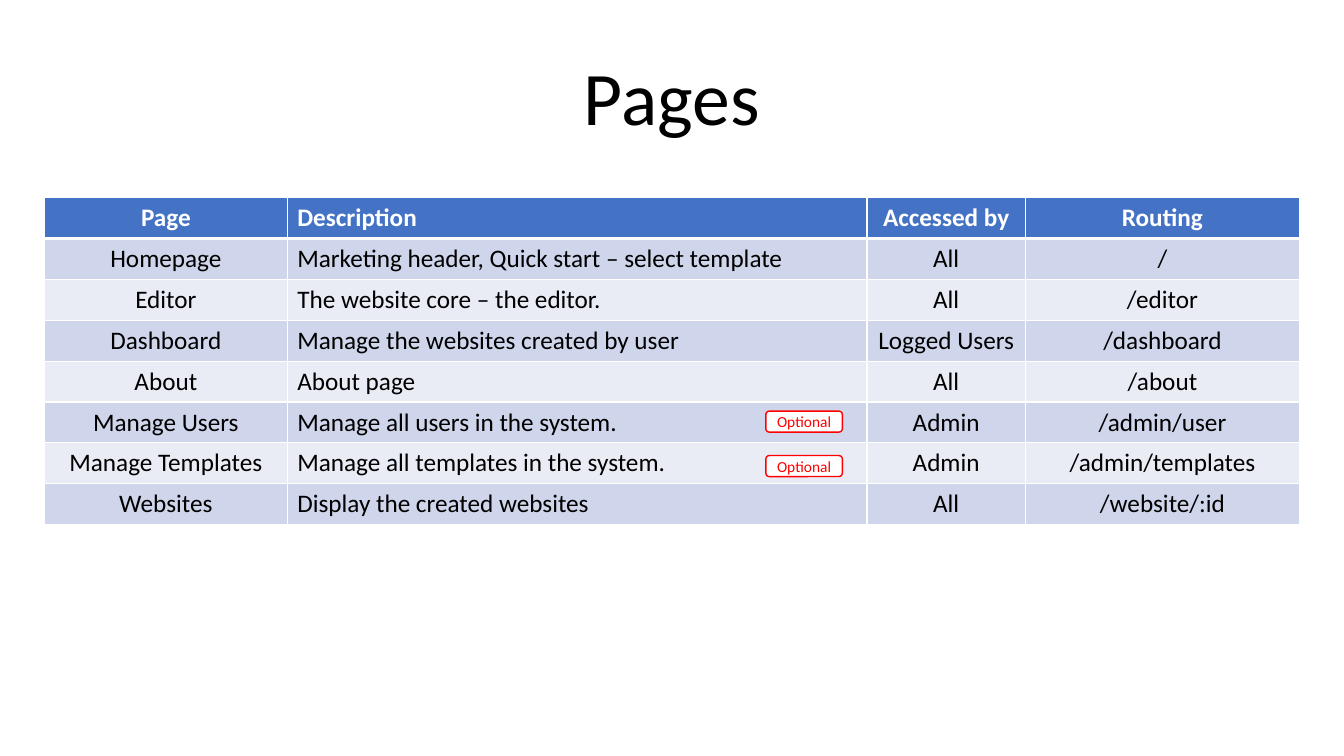
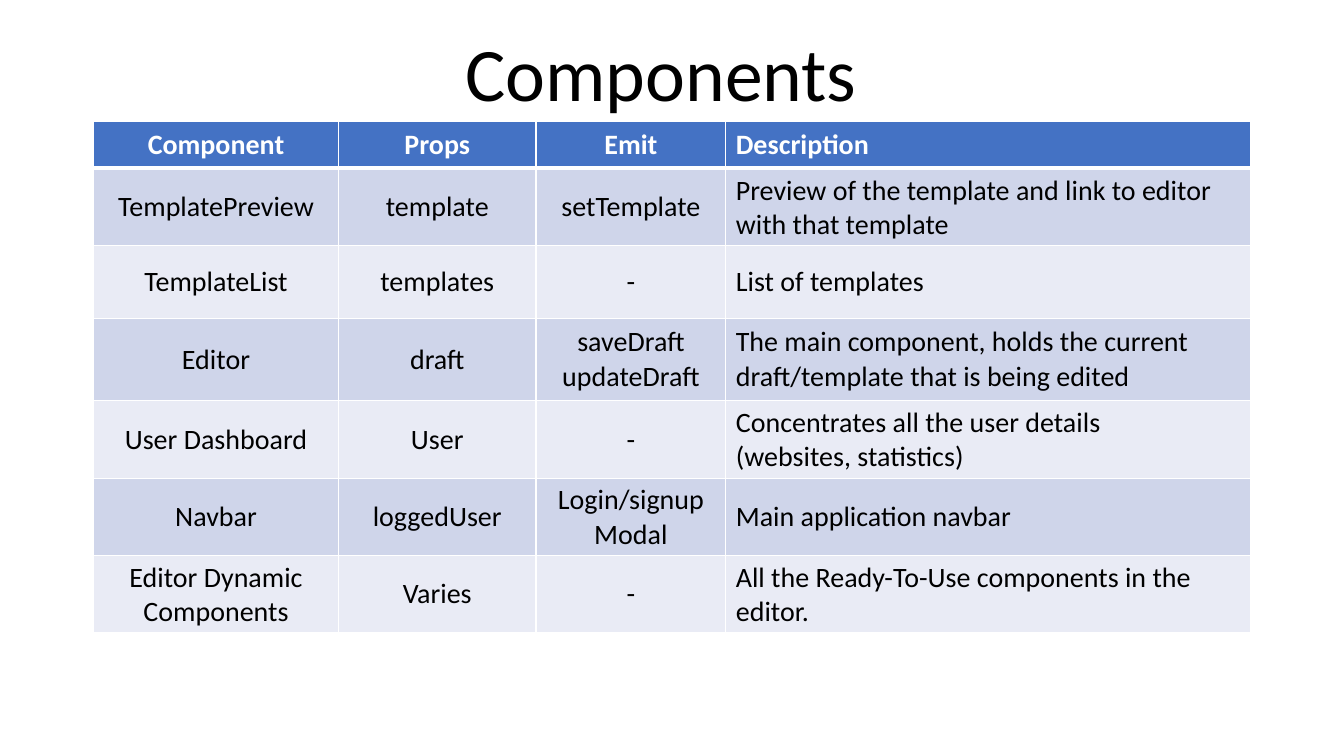
"""Build two slides listing the pages and the components of a web application."""
from dataclasses import dataclass

from lxml import etree
from pptx import Presentation
from pptx import util as u
from pptx.dml.color import RGBColor
from pptx.enum import shapes, text
from pptx.oxml import ns


@dataclass(frozen=True)
class Theme:
    font: str = "Calibri"
    ink: str = "000000"
    paper: str = "FFFFFF"
    header: str = "4472C4"
    bands: tuple = ("CFD5EA", "E9EBF5")
    alert: str = "FF0000"
    title_size: int = 54
    badge_size: int = 11
    rule: int = 1
    header_rule: int = 3


theme = Theme()


def style(p, size, color, align=text.PP_ALIGN.CENTER, bold=False):
    p.alignment = align
    p.font.name = theme.font
    p.font.size = u.Pt(size)
    p.font.bold = bold
    p.font.color.rgb = RGBColor.from_string(color)


def border(cell, edge, width):
    ln = etree.SubElement(cell._tc.get_or_add_tcPr(), ns.qn(f"a:ln{edge}"), w=str(u.Pt(width)))
    fill = etree.SubElement(ln, ns.qn("a:solidFill"))
    etree.SubElement(fill, ns.qn("a:srgbClr"), val=theme.paper)


pages = [
    ("Page", "Description", "Accessed by", "Routing"),
    ("Homepage", "Marketing header, Quick start – select template", "All", "/"),
    ("Editor", "The website core – the editor.", "All", "/editor"),
    ("Dashboard", "Manage the websites created by user", "Logged Users", "/dashboard"),
    ("About", "About page", "All", "/about"),
    ("Manage Users", "Manage all users in the system.", "Admin", "/admin/user"),
    ("Manage Templates", "Manage all templates in the system.", "Admin", "/admin/templates"),
    ("Websites", "Display the created websites", "All", "/website/:id"),
]
components = [
    ("Component", "Props", "Emit", "Description"),
    ("TemplatePreview", "template", "setTemplate",
     "Preview of the template and link to editor with that template"),
    ("TemplateList", "templates", "-", "List of templates"),
    ("Editor", "draft", "saveDraft\vupdateDraft",
     "The main component, holds the current draft/template that is being edited"),
    ("User Dashboard", "User", "-",
     "Concentrates all the user details\v(websites, statistics)"),
    ("Navbar", "loggedUser", "Login/signup Modal", "Main application navbar"),
    ("Editor Dynamic Components", "Varies", "-",
     "All the Ready-To-Use components in the editor."),
]
slides = [
    dict(title="Pages", title_box=(7.9, 1.14, 18.06, 2.57), rows=pages, size=18,
         origin=(1.12, 4.98), widths=(6.12, 14.61, 3.99, 6.91), heights=[1.03] * 8,
         badges=[(19.3, 10.36), (19.3, 11.48)]),
    dict(title="Components", title_box=(10.69, 0.53, 11.94, 2.57), rows=components, size=20,
         origin=(2.36, 3.07), widths=(6.17, 4.98, 4.78, 13.23),
         heights=[1.17, 1.83, 1.83, 2.08, 1.83, 1.83, 1.83], badges=[]),
]

prs = Presentation()
prs.slide_width, prs.slide_height = u.Cm(33.87), u.Cm(19.05)

for page in slides:
    s = prs.slides.add_slide(prs.slide_layouts[6])

    rows, widths, heights = page["rows"], page["widths"], page["heights"]
    frame = s.shapes.add_table(len(rows), len(widths), *map(u.Cm, page["origin"]),
                               u.Cm(sum(widths)), u.Cm(sum(heights)))
    table = frame.table
    for column, width in zip(table.columns, widths):
        column.width = u.Cm(width)
    for i, (row, height) in enumerate(zip(rows, heights)):
        table.rows[i].height = u.Cm(height)
        is_header = i == 0
        fill = theme.header if is_header else theme.bands[(i - 1) % 2]
        for j, value in enumerate(row):
            cell = table.cell(i, j)
            cell.text = value
            cell.vertical_anchor = text.MSO_ANCHOR.MIDDLE
            is_description = rows[0][j] == "Description"
            style(cell.text_frame.paragraphs[0], page["size"],
                  theme.paper if is_header else theme.ink,
                  text.PP_ALIGN.LEFT if is_description else text.PP_ALIGN.CENTER, is_header)
            for edge in "LRTB":
                under_header = (i, edge) in ((0, "B"), (1, "T"))
                border(cell, edge, theme.header_rule if under_header else theme.rule)
            cell.fill.solid()
            cell.fill.fore_color.rgb = RGBColor.from_string(fill)

    tf = s.shapes.add_textbox(*map(u.Cm, page["title_box"])).text_frame
    tf.word_wrap = True
    tf.auto_size = text.MSO_AUTO_SIZE.SHAPE_TO_FIT_TEXT
    tf.text = page["title"]
    style(tf.paragraphs[0], theme.title_size, theme.ink)

    for left, top in page["badges"]:
        badge = s.shapes.add_shape(shapes.MSO_SHAPE.ROUNDED_RECTANGLE,
                                   *map(u.Cm, (left, top, 1.93, 0.53)))
        badge.shadow.inherit = False
        badge.fill.solid()
        badge.fill.fore_color.rgb = RGBColor.from_string(theme.paper)
        badge.line.color.rgb = RGBColor.from_string(theme.alert)
        badge.line.width = u.Pt(theme.rule)
        tf = badge.text_frame
        tf.margin_left = tf.margin_right = tf.margin_top = tf.margin_bottom = 0
        tf.vertical_anchor = text.MSO_ANCHOR.MIDDLE
        tf.text = "Optional"
        style(tf.paragraphs[0], theme.badge_size, theme.alert)

prs.save("out.pptx")
